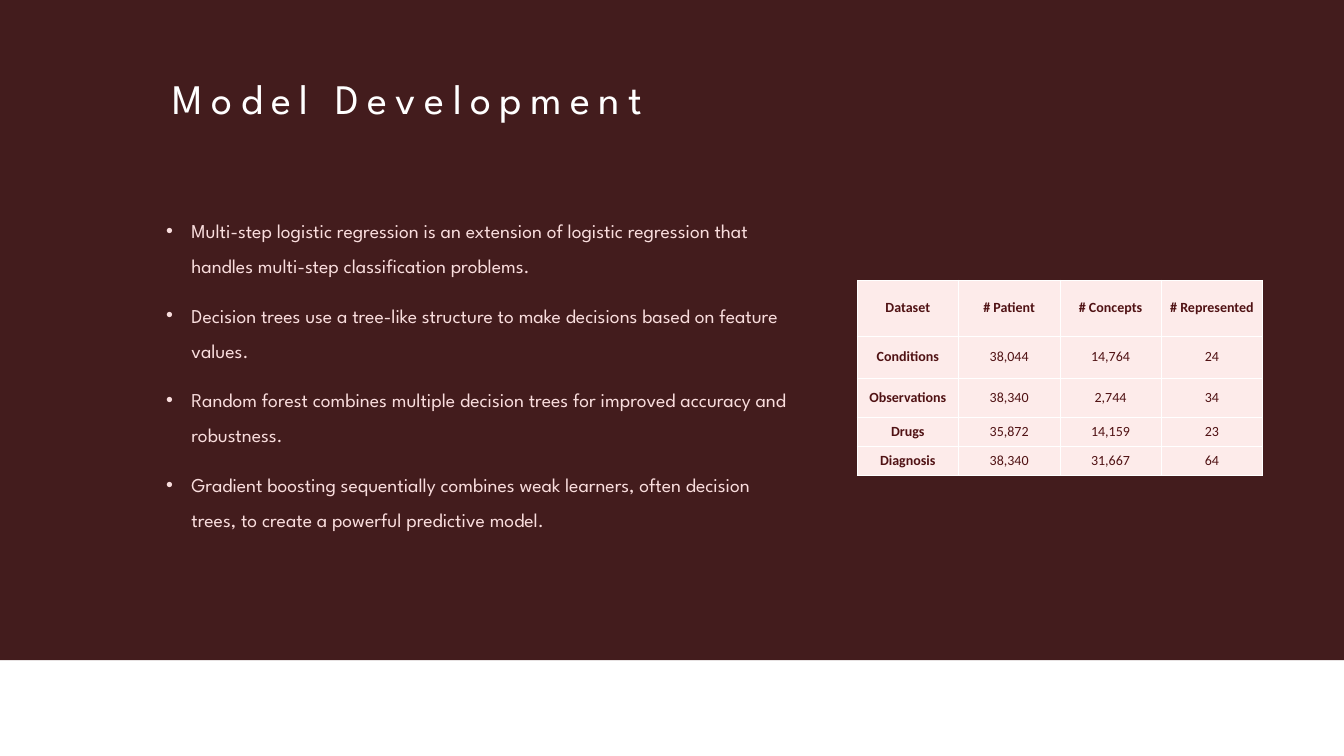
from pptx import Presentation
from pptx.dml.color import RGBColor
from pptx.enum.shapes import MSO_SHAPE
from pptx.enum.text import MSO_ANCHOR, PP_ALIGN
from pptx.oxml.ns import qn
from pptx.util import Cm, Pt
from lxml import etree

WIDTH, HEIGHT = 67.74, 38.1
SPARTAN = "League Spartan"

BULLETS = [
    "Multi-step logistic regression is an extension of logistic regression "
    "that handles multi-step classification problems.",
    "Decision trees use a tree-like structure to make decisions based on "
    "feature values.",
    "Random forest combines multiple decision trees for improved accuracy "
    "and robustness.",
    "Gradient boosting sequentially combines weak learners, often decision "
    "trees, to create a powerful predictive model.",
]
DATASETS = [
    ["Dataset", "# Patient", "# Concepts", "# Represented"],
    ["Conditions", "38,044", "14,764", "24"],
    ["Observations", "38,340", "2,744", "34"],
    ["Drugs", "35,872", "14,159", "23"],
    ["Diagnosis", "38,340", "31,667", "64"],
]
ROW_HEIGHTS = [2.82, 2.11, 1.98, 1.45, 1.45]


def rgb(value):
    return RGBColor.from_string(value)


def set_format(target, values):
    for name, value in values.items():
        setattr(target, name, value)


def set_font(font, color, **values):
    set_format(font, values)
    font.color.rgb = rgb(color)


def add_text_frame(slide, box):
    tf = slide.shapes.add_textbox(*map(Cm, box)).text_frame
    set_format(tf, {"word_wrap": True, "vertical_anchor": MSO_ANCHOR.TOP})
    return tf


def add_panel(slide, box):
    sp = slide.shapes.add_shape(MSO_SHAPE.RECTANGLE, *map(Cm, box))
    sp.shadow.inherit = False
    sp.fill.solid()
    sp.fill.fore_color.rgb = rgb("431C1D")
    sp.line.fill.background()


def add_title(slide, box, text):
    p = add_text_frame(slide, box).paragraphs[0]
    p.line_spacing = 0.9
    r = p.add_run()
    r.text = text
    set_font(r.font, "FFFFFF", name=SPARTAN, size=Pt(60))
    r.font._element.set("spc", "1200")  # letter spacing


def add_bullets(slide, box, items):
    tf = add_text_frame(slide, box)
    for i, item in enumerate(items):
        p = tf.add_paragraph() if i else tf.paragraphs[0]
        set_format(p, {"line_spacing": 1.5, "space_before": Pt(20 if i else 0)})
        pPr = p._p.get_or_add_pPr()
        pPr.set("marL", str(Cm(1.27)))
        pPr.set("indent", str(-Cm(1.27)))
        etree.SubElement(pPr, qn("a:buFont")).set("typeface", "Arial")
        etree.SubElement(pPr, qn("a:buChar")).set("char", "•")
        r = p.add_run()
        r.text = item
        set_font(r.font, "F9DDDD", name=SPARTAN, size=Pt(28))


def add_cell_borders(cell, color):
    tcPr = cell._tc.get_or_add_tcPr()
    for i, side in enumerate(("lnL", "lnR", "lnT", "lnB")):
        ln = etree.Element(qn(f"a:{side}"), w=str(Pt(1)))
        fill = etree.SubElement(ln, qn("a:solidFill"))
        etree.SubElement(fill, qn("a:srgbClr")).set("val", color)
        tcPr.insert(i, ln)


def add_dataset_table(slide, box, rows):
    table = slide.shapes.add_table(len(rows), len(rows[0]), *map(Cm, box)).table
    for row, height in zip(table.rows, ROW_HEIGHTS):
        row.height = Cm(height)
    for col in table.columns:
        col.width = Cm(box[2] / len(rows[0]))
    for i, values in enumerate(rows):
        for j, value in enumerate(values):
            cell = table.cell(i, j)
            set_format(cell, {
                "text": value, "vertical_anchor": MSO_ANCHOR.MIDDLE,
                "margin_left": 0, "margin_right": 0,
                "margin_top": 0, "margin_bottom": 0,
            })
            cell.fill.solid()
            cell.fill.fore_color.rgb = rgb("FDEBEA")
            add_cell_borders(cell, "FFFFFF")
            p = cell.text_frame.paragraphs[0]
            p.alignment = PP_ALIGN.CENTER
            # Header row and first column are bold
            set_font(p.runs[0].font, "501214", name="Calibri", size=Pt(20),
                     bold=i == 0 or j == 0)


def main():
    prs = Presentation()
    set_format(prs, {"slide_width": Cm(WIDTH), "slide_height": Cm(HEIGHT)})
    slide = prs.slides.add_slide(prs.slide_layouts[6])

    # Dark panel above the white footer band
    add_panel(slide, (0, 0, WIDTH, 33.27))
    # Title and method list on the left
    add_title(slide, (8.46, 3.81, 50.8, 3.18), "Model Development")
    add_bullets(slide, (8.13, 10.31, 32.05, 18.42), BULLETS)
    # Dataset counts on the right
    add_dataset_table(slide, (43.2, 14.12, 20.44, sum(ROW_HEIGHTS)), DATASETS)

    prs.save("out.pptx")


if __name__ == "__main__":
    main()
